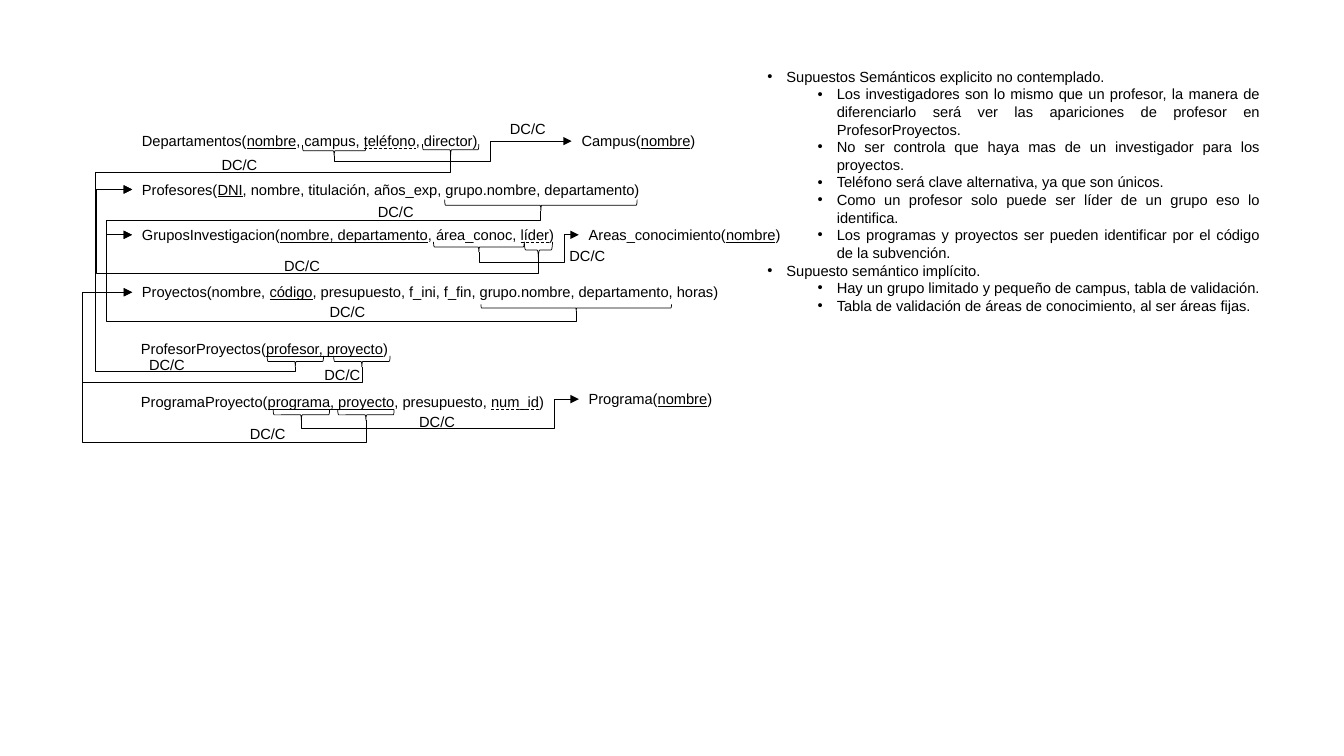
"""Build a slide with a relational schema, its foreign keys and its semantic assumptions."""
from lxml import etree
from pptx import Presentation
from pptx.dml.color import RGBColor
from pptx.enum.shapes import MSO_CONNECTOR, MSO_SHAPE
from pptx.enum.text import MSO_AUTO_SIZE, PP_ALIGN, MSO_TEXT_UNDERLINE_TYPE as UNDERLINE
from pptx.oxml.ns import qn
from pptx.util import Inches, Pt

BLACK = "000000"
ROW_HEIGHT = 0.28
ALTERNATE_KEYS = {"teléfono", "líder", "num_id"}

# name: (left, top, width, attributes with keys between bars)
RELATIONS = {
    "Departamentos": (1.31, 1.26, 6.73, "|nombre|, campus, |teléfono|, director"),
    "Profesores": (1.31, 1.74, 6.73, "|DNI|, nombre, titulación, años_exp, grupo.nombre, departamento"),
    "GruposInvestigacion": (1.31, 2.19, 6.73, "|nombre, departamento|, área_conoc, |líder|"),
    "Proyectos": (1.31, 2.76, 6.73,
                  "nombre, |código|, presupuesto, f_ini, f_fin, grupo.nombre, departamento, horas"),
    "ProfesorProyectos": (1.3, 3.32, 6.73, "|profesor, proyecto|"),
    "ProgramaProyecto": (1.3, 3.85, 6.73, "|programa, proyecto|, presupuesto, |num_id|"),
    "Campus": (5.67, 1.26, 1.41, "|nombre|"),
    "Areas_conocimiento": (5.74, 2.19, 2.28, "|nombre|"),
    "Programa": (5.74, 3.82, 1.44, "|nombre|"),
}

# brace (left, top, width, height), horizontal run y, vertical run x, target, label (left, top)
FOREIGN_KEYS = [
    ((3.0, 1.44, 0.63, 0.11), 1.6, 4.86, "Campus", (4.96, 1.14)),
    ((4.19, 1.43, 0.56, 0.11), 1.71, 0.95, "Profesores", (2.1, 1.5)),
    ((4.41, 1.98, 1.91, 0.11), 2.19, 1.06, "GruposInvestigacion", (3.65, 1.96)),
    ((4.3, 2.4, 0.9, 0.1), 2.6, 5.6, "Areas_conocimiento", (5.55, 2.4)),
    ((5.2, 2.4, 0.28, 0.16), 2.71, 0.95, "Profesores", (2.72, 2.5)),
    ((4.77, 3.02, 1.89, 0.07), 3.19, 1.06, "GruposInvestigacion", (3.17, 2.95)),
    ((2.65, 3.53, 0.56, 0.11), 3.69, 0.95, "Profesores", (1.38, 3.48)),
    ((3.31, 3.53, 0.56, 0.11), 3.79, 0.82, "Proyectos", (3.12, 3.58)),
    ((2.71, 4.06, 0.56, 0.11), 4.25, 5.5, "Programa", (4.06, 4.05)),
    ((3.35, 4.06, 0.56, 0.11), 4.39, 0.82, "Proyectos", (2.38, 4.17)),
]

ASSUMPTIONS = [
    ("Supuestos Semánticos explicito no contemplado.", [
        "Los investigadores son lo mismo que un profesor, la manera de diferenciarlo será ver "
        "las apariciones de profesor en ProfesorProyectos.",
        "No ser controla que haya mas de un investigador para los proyectos.",
        "Teléfono será clave alternativa, ya que son únicos.",
        "Como un profesor solo puede ser líder de un grupo eso lo identifica.",
        "Los programas y proyectos ser pueden identificar por el código de la subvención.",
    ]),
    ("Supuesto semántico implícito.", [
        "Hay un grupo limitado y pequeño de campus, tabla de validación.",
        "Tabla de validación de áreas de conocimiento, al ser áreas fijas.",
    ]),
]


def color(value):
    return RGBColor.from_string(value)


def style_paragraph(paragraph, alignment=PP_ALIGN.JUSTIFY):
    paragraph.alignment = alignment
    paragraph.font.size = Pt(10.5)
    paragraph.font.name = "Arial"
    paragraph.font.color.rgb = color(BLACK)


def style_line(shape):
    shape.line.color.rgb = color(BLACK)
    shape.line.width = Pt(0.5)


def add_text(left, top, width, text, alignment=PP_ALIGN.JUSTIFY):
    box = slide.shapes.add_textbox(Inches(left), Inches(top), Inches(width), Inches(ROW_HEIGHT))
    box.text_frame.word_wrap = True
    paragraph = box.text_frame.paragraphs[0]
    style_paragraph(paragraph, alignment)
    for index, part in enumerate(text.split("|")):
        run = paragraph.add_run()
        run.text = part
        if index % 2:
            run.font.underline = UNDERLINE.DASH_LINE if part in ALTERNATE_KEYS else True


def place_turned(shape, center_x, center_y, width, height):
    """Place a shape by its centre and its size before rotation."""
    shape.left, shape.top = Inches(center_x - width / 2), Inches(center_y - height / 2)
    shape.width, shape.height = Inches(width), Inches(height)


def add_brace(left, top, width, height):
    brace = slide.shapes.add_shape(MSO_SHAPE.RIGHT_BRACE, 0, 0, 0, 0)
    place_turned(brace, left + width / 2, top + height / 2, height, width)
    brace.rotation = 90
    brace._element.spPr.find(qn("a:xfrm")).set("flipV", "1")
    brace.fill.background()
    brace.shadow.inherit = False
    style_line(brace)


def add_arrow(start_x, start_y, run_y, run_x, end_x, end_y):
    """Draw an arrow that leaves downwards and enters its target sideways."""
    delta_x, delta_y = end_x - start_x, end_y - start_y
    arrow = slide.shapes.add_connector(MSO_CONNECTOR.ELBOW, 0, 0, 0, 0)
    place_turned(arrow, (start_x + end_x) / 2, (start_y + end_y) / 2, abs(delta_y), abs(delta_x))
    style_line(arrow)
    properties = arrow._element.spPr
    transform = properties.find(qn("a:xfrm"))
    transform.set("rot", str((270 if delta_x < 0 else 90) * 60000))
    transform.set("flipV", "1")
    if delta_x * delta_y < 0:
        transform.set("flipH", "1")
    geometry = properties.find(qn("a:prstGeom"))
    geometry.set("prst", "bentConnector4")
    guides = geometry.get_or_add_avLst()
    ratios = ((run_y - start_y) / delta_y, (run_x - start_x) / delta_x)
    for number, ratio in enumerate(ratios, 1):
        etree.SubElement(guides, qn("a:gd"), name=f"adj{number}", fmla=f"val {round(ratio * 100000)}")
    etree.SubElement(arrow.line._get_or_add_ln(), qn("a:tailEnd"), type="triangle")
    etree.SubElement(properties, qn("a:effectLst"))


def add_bullet(text_frame, text, level, first):
    paragraph = text_frame.paragraphs[0] if first else text_frame.add_paragraph()
    paragraph.text = text
    paragraph.level = level
    paragraph.space_before = Pt(0)
    style_paragraph(paragraph)
    properties = paragraph._p.get_or_add_pPr()
    properties.set("marL", str(Inches(0.19 + 0.5 * level)))
    properties.set("indent", str(-Inches(0.19)))
    bullet_font = etree.Element(qn("a:buFont"), typeface="Arial")
    bullet = etree.Element(qn("a:buChar"), char="•")
    properties.find(qn("a:defRPr")).addprevious(bullet_font)
    bullet_font.addnext(bullet)


presentation = Presentation()
presentation.slide_width, presentation.slide_height = Inches(13.33), Inches(7.5)
slide = presentation.slides.add_slide(presentation.slide_layouts[1])
title, body = slide.placeholders
title._element.getparent().remove(title._element)

body.left, body.top, body.width, body.height = (Inches(value) for value in (7.51, 0.62, 5.09, 2.75))
body.text_frame.auto_size = MSO_AUTO_SIZE.NONE
bullets = [(text, level) for heading, details in ASSUMPTIONS
           for text, level in [(heading, 0)] + [(detail, 1) for detail in details]]
for position, (text, level) in enumerate(bullets):
    add_bullet(body.text_frame, text, level, position == 0)

for name, (left, top, width, attributes) in RELATIONS.items():
    add_text(left, top, width, f"{name}({attributes})")

for brace, run_y, run_x, target, label in FOREIGN_KEYS:
    left, top, width, height = brace
    target_left, target_top = RELATIONS[target][:2]
    add_brace(*brace)
    add_arrow(left + width / 2, top + height, run_y, run_x, target_left, target_top + ROW_HEIGHT / 2)
    add_text(*label, 0.56, "DC/C", PP_ALIGN.LEFT)

presentation.save("out.pptx")
